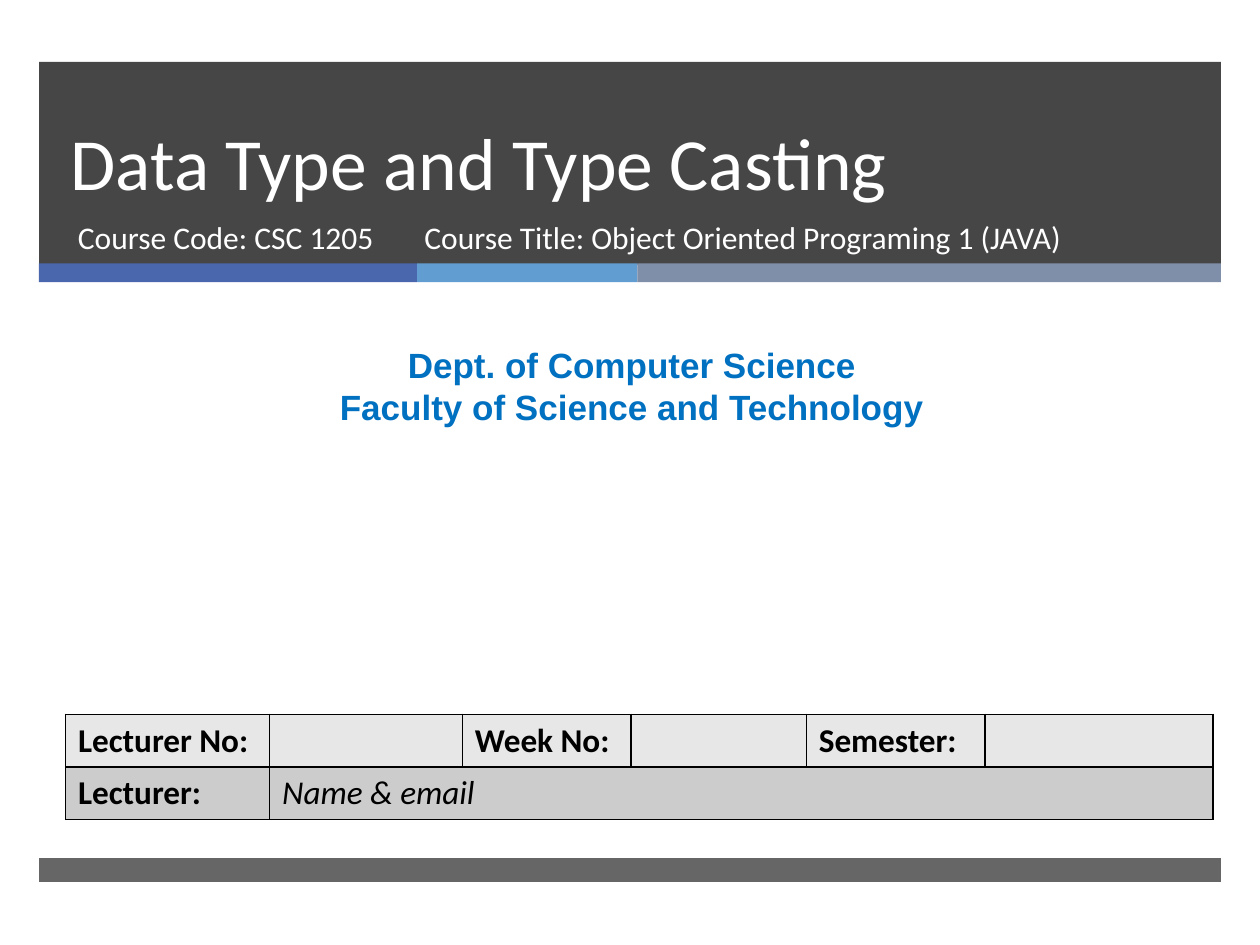
"""Build the cover slide of a lecture on data types and type casting."""
from lxml import etree
from pptx import Presentation
from pptx import util as u
from pptx.dml.color import RGBColor
from pptx.enum import shapes, text
from pptx.oxml.ns import qn

DARK = RGBColor(0x26, 0x26, 0x26)
INDIGO = RGBColor(0x4A, 0x66, 0xAC)
SKY = RGBColor(0x62, 0x9D, 0xD1)
SLATE = RGBColor(0x7F, 0x8F, 0xA9)
BLUE = RGBColor(0x00, 0x70, 0xC0)
WHITE = RGBColor(0xFF, 0xFF, 0xFF)
BLACK = RGBColor(0x00, 0x00, 0x00)
LIGHT_GRAY = RGBColor(0xE7, 0xE7, 0xE7)
MID_GRAY = RGBColor(0xCC, 0xCC, 0xCC)

BAR_LEFT = 0.31
BANDS = [
    (0.49, 1.61, [(9.38, DARK, 85)]),
    (2.09, 0.15, [(3, INDIGO, 100), (1.75, SKY, 100), (4.63, SLATE, 100)]),
    (6.81, 0.19, [(9.38, DARK, 70)]),
]

TITLE = "Data Type and Type Casting"
TITLE_BOX = (0.46, 0.49, 8.54, 1.19)
TITLE_FORMAT = {"name": "Calibri", "size": u.Pt(42), "color": WHITE}
COURSE_FORMAT = {"name": "Calibri", "size": u.Pt(18), "color": WHITE}
FACULTY_FORMAT = {"name": "Arial", "size": u.Pt(20), "bold": True, "color": BLUE}
LABEL_FORMAT = {"name": "Calibri", "size": u.Pt(19), "bold": True, "color": BLACK}
VALUE_FORMAT = {**LABEL_FORMAT, "bold": False, "italic": True}

TEXT_BOXES = [
    ((0.52, 1.68, 3.05, 0.53), ["Course Code: CSC 1205"], COURSE_FORMAT, text.PP_ALIGN.LEFT),
    ((0.08, 2.68, 9.87, 0.77), ["Dept. of Computer Science", "Faculty of Science and Technology"],
     FACULTY_FORMAT, text.PP_ALIGN.CENTER),
    ((3.27, 1.68, 5.41, 0.53), ["Course Title: Object Oriented Programing 1 (JAVA)"],
     COURSE_FORMAT, text.PP_ALIGN.LEFT),
]

TABLE_BOX = (0.52, 5.67, 9.12, 0.83)
COLUMN_WIDTHS = [1.62, 1.53, 1.34, 1.39, 1.42, 1.81]
TABLE_ROWS = [
    (LIGHT_GRAY, ["Lecturer No:", "", "Week No:", "", "Semester:", ""]),
    (MID_GRAY, ["Lecturer:", "Name & email", "", "", "", ""]),
]


def inches(box):
    return [u.Inches(value) for value in box]


def apply_font(font, font_format):
    for name, value in font_format.items():
        if name == "color":
            font.color.rgb = value
        else:
            setattr(font, name, value)


def add_bands(slide):
    for top, height, segments in BANDS:
        left = BAR_LEFT
        for width, color, opacity in segments:
            shape = slide.shapes.add_shape(
                shapes.MSO_SHAPE.RECTANGLE, *inches((left, top, width, height)))
            shape.shadow.inherit = False
            shape.fill.solid()
            shape.fill.fore_color.rgb = color
            shape.line.fill.background()
            if opacity < 100:
                color_node = shape._element.spPr.find(f".//{qn('a:srgbClr')}")
                etree.SubElement(color_node, qn("a:alpha"), val=str(opacity * 1000))
            left += width


def format_title(slide):
    title = slide.shapes.title
    slide.shapes._spTree.append(title._element)
    title.left, title.top, title.width, title.height = inches(TITLE_BOX)
    title.text_frame.text = TITLE
    title.text_frame.vertical_anchor = text.MSO_ANCHOR.BOTTOM
    title.text_frame.auto_size = text.MSO_AUTO_SIZE.NONE
    paragraph = title.text_frame.paragraphs[0]
    paragraph.alignment = text.PP_ALIGN.LEFT
    paragraph.line_spacing = u.Pt(46)
    apply_font(paragraph.runs[0].font, TITLE_FORMAT)


def add_text_boxes(slide):
    for box, lines, font_format, alignment in TEXT_BOXES:
        frame = slide.shapes.add_textbox(*inches(box)).text_frame
        frame.word_wrap = True
        frame.text = "\n".join(lines)
        for paragraph in frame.paragraphs:
            paragraph.alignment = alignment
            apply_font(paragraph.runs[0].font, font_format)


def add_borders(cell):
    properties = cell._tc.get_or_add_tcPr()
    for index, side in enumerate(("lnL", "lnR", "lnT", "lnB")):
        line = etree.Element(qn(f"a:{side}"), w=str(u.Pt(1)))
        fill = etree.SubElement(line, qn("a:solidFill"))
        etree.SubElement(fill, qn("a:srgbClr"), val=str(BLACK))
        properties.insert(index, line)


def add_lecture_table(slide):
    table = slide.shapes.add_table(
        len(TABLE_ROWS), len(COLUMN_WIDTHS), *inches(TABLE_BOX)).table
    for column, width in zip(table.columns, COLUMN_WIDTHS):
        column.width = u.Inches(width)
    for row, (color, values) in enumerate(TABLE_ROWS):
        for column, value in enumerate(values):
            cell = table.cell(row, column)
            cell.fill.solid()
            cell.fill.fore_color.rgb = color
            add_borders(cell)
            cell.text = value
            is_label = value.endswith(":") or not value
            apply_font(cell.text_frame.paragraphs[0].font,
                       LABEL_FORMAT if is_label else VALUE_FORMAT)
            for run in cell.text_frame.paragraphs[0].runs:
                apply_font(run.font, LABEL_FORMAT if is_label else VALUE_FORMAT)
    table.cell(1, 1).merge(table.cell(1, len(COLUMN_WIDTHS) - 1))


def main():
    presentation = Presentation()
    presentation.slide_width, presentation.slide_height = inches((10, 7.5))
    slide = presentation.slides.add_slide(presentation.slide_layouts[5])
    add_bands(slide)
    format_title(slide)
    add_text_boxes(slide)
    add_lecture_table(slide)
    presentation.save("out.pptx")


if __name__ == "__main__":
    main()
